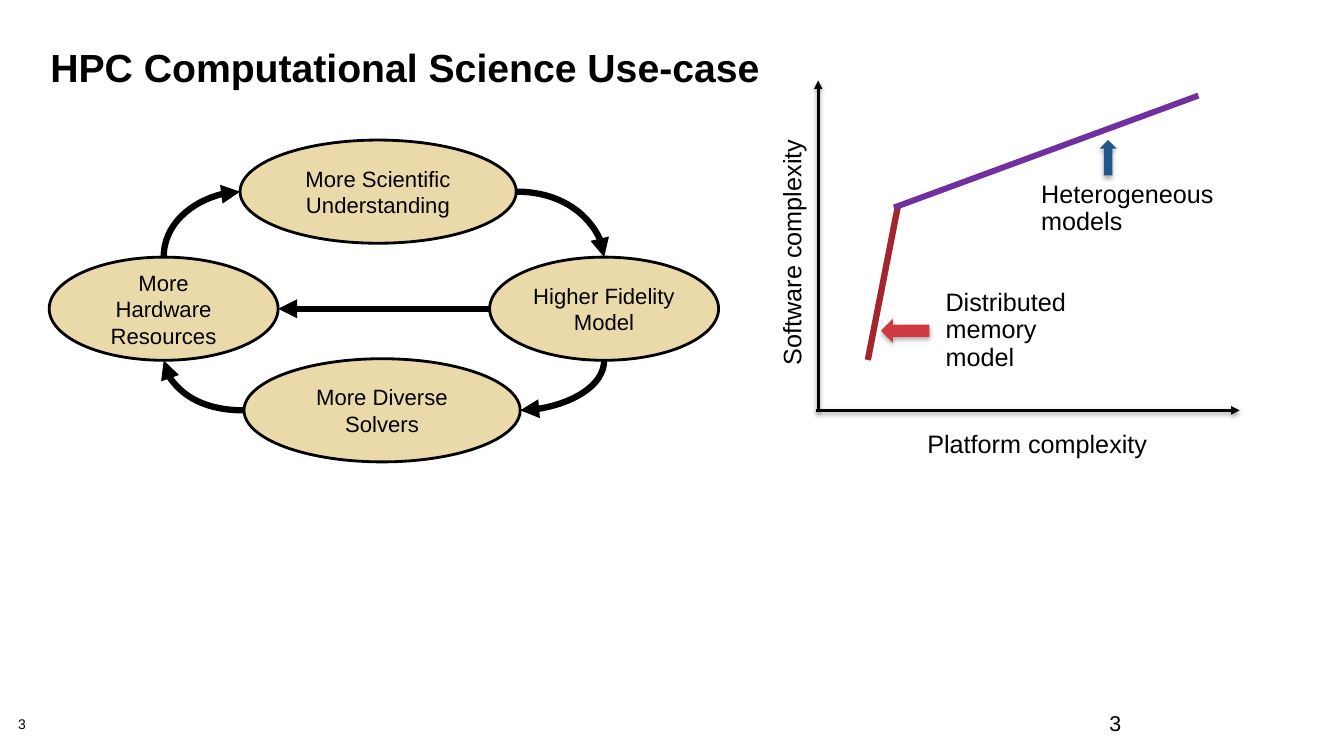
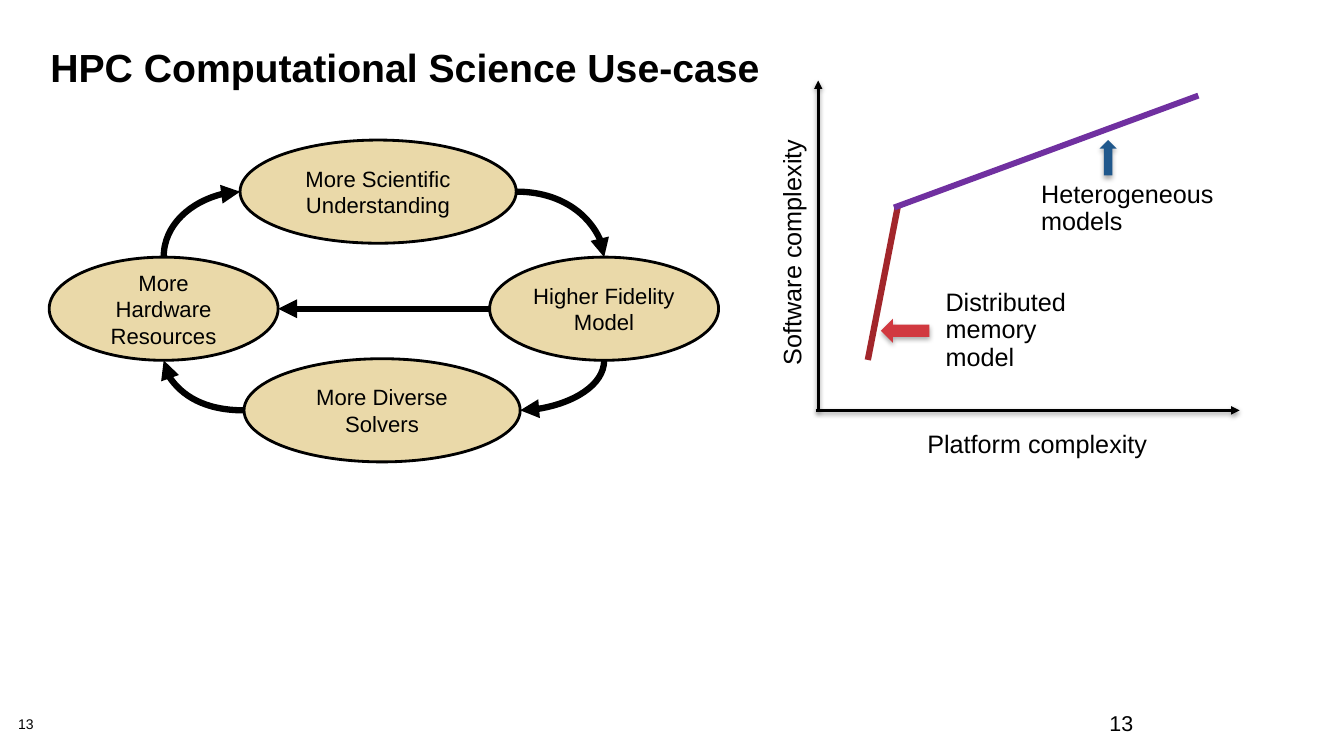
from lxml import etree
from pptx import Presentation
from pptx.dml.color import RGBColor
from pptx.enum import shapes as es, text as et
from pptx.oxml.ns import qn
from pptx.util import Cm, Pt

FONT = "Arial"
HEX = {"ink": "000000", "sand": "EAD9A9", "red": "A2262B", "plum": "7030A0",
       "rose": "D13940", "blue": "20588C"}
TITLE = "HPC Computational Science Use-case"
PAGES = ["3", "13"]
LOOP = (1.24, 3.53)
GRAPH = (20.57, 2.03)

# Loop steps, clockwise from the top: left, top, width, lines
OVAL_H = 2.6
STEPS = [
    (4.81, 0, 6.96, ["More Scientific Understanding"]),
    (11.1, 2.95, 5.77, ["Higher Fidelity", "Model"]),
    (4.91, 5.51, 6.96, ["More Diverse", "Solvers"]),
    (0, 2.95, 5.77, ["More Hardware", "Resources"]),
]
# Graph labels: left, top, width, height, turn, lines
LABELS = [
    (2.47, 8.59, 6.4, 1.19, 0, ["Platform complexity"]),
    (-3.78, 3.69, 6.4, 1.22, 270, ["Software complexity"]),
    (2.93, 5.01, 3.91, 2.59, 0, ["Distributed", "memory", "model"]),
    (5.34, 2.29, 5.05, 1.9, 0, ["Heterogeneous", "models"]),
]
# Ellipse connection sites, as shares of width and height
TOP, LEFT, BOTTOM, RIGHT = 0, 2, 4, 6
SITES = {TOP: (0.5, 0), LEFT: (0, 0.5), BOTTOM: (0.5, 1), RIGHT: (1, 0.5)}


def color(name):
    return RGBColor.from_string(HEX[name])


def write(frame, lines, size, bold=False, align=None, space=None):
    frame.word_wrap = True
    for i, line in enumerate(lines):
        para = frame.paragraphs[0] if i == 0 else frame.add_paragraph()
        para.alignment = align
        para.line_spacing = space
        run = para.add_run()
        run.text = line
        font = run.font
        font.name, font.size, font.bold = FONT, Pt(size), bold
        font.color.rgb = color("ink")


def inset(frame, x, y):
    frame.margin_left = frame.margin_right = Cm(x)
    frame.margin_top = frame.margin_bottom = Cm(y)


def label(slide, box, lines, size, pad=None, **style):
    area = slide.shapes.add_textbox(*map(Cm, box))
    if pad:
        inset(area.text_frame, *pad)
    write(area.text_frame, lines, size, **style)
    return area


def effect(shape, shade=None):
    """Set the effect list: empty, or a shadow of (blur, distance, opacity)."""
    props = shape._element.spPr
    for old in props.findall(qn("a:effectLst")):
        props.remove(old)
    group = etree.SubElement(props, qn("a:effectLst"))
    if shade:
        blur, dist, part = shade
        cast = etree.SubElement(group, qn("a:outerShdw"), blurRad=str(Pt(blur)),
                                dist=str(Pt(dist)), dir="5400000", rotWithShape="0")
        tint = etree.SubElement(cast, qn("a:srgbClr"), val=HEX["ink"])
        etree.SubElement(tint, qn("a:alpha"), val=str(part * 1000))


def link(slide, ends, tint, width, head=False, shade=None,
         kind=es.MSO_CONNECTOR.STRAIGHT):
    line = slide.shapes.add_connector(kind, *ends)
    line.line.color.rgb = color(tint)
    line.line.width = Pt(width)
    if head:
        etree.SubElement(line.line._get_or_add_ln(), qn("a:tailEnd"), type="triangle")
    effect(line, shade)
    return line


def solid(slide, kind, box, tint):
    shape = slide.shapes.add_shape(kind, *map(Cm, box))
    shape.shadow.inherit = False
    shape.fill.solid()
    shape.fill.fore_color.rgb = color(tint)
    shape.line.fill.background()
    return shape


def site(shape, idx):
    x, y = SITES[idx]
    return (shape.left + int(shape.width * x), shape.top + int(shape.height * y))


def glue(line, *ends):
    for tag, (shape, idx) in zip(("a:stCxn", "a:endCxn"), ends):
        etree.SubElement(line._element.nvCxnSpPr.cNvCxnSpPr, qn(tag),
                         id=str(shape.shape_id), idx=str(idx))


def bend(slide, start, end, turn):
    """Quarter curve between two sites, turned clockwise by quarter turns."""
    (ax, ay), (bx, by) = site(*start), site(*end)
    wide, high = abs(bx - ax), abs(by - ay)
    if turn % 2:
        wide, high = high, wide
    left, top = (ax + bx - wide) // 2, (ay + by - high) // 2
    line = link(slide, (left, top, left + wide, top + high), "ink", 4.5, True,
                kind=es.MSO_CONNECTOR.CURVE)
    props = line._element.spPr
    props.find(qn("a:prstGeom")).set("prst", "curvedConnector2")
    props.find(qn("a:xfrm")).set("rot", str(turn * 5400000))
    glue(line, start, end)


def loop(slide, left, top):
    # Steps
    ring = []
    for x, y, wide, lines in STEPS:
        oval = solid(slide, es.MSO_SHAPE.OVAL,
                     (left + x, top + y, wide, OVAL_H), "sand")
        oval.line.color.rgb = color("ink")
        oval.line.width = Pt(2)
        frame = oval.text_frame
        frame.vertical_anchor = et.MSO_ANCHOR.MIDDLE
        inset(frame, 0.2, 0.13)
        write(frame, lines, 15.8, align=et.PP_ALIGN.CENTER)
        ring.append(oval)
    # Curved arrows around the ring
    for i, oval in enumerate(ring):
        bend(slide, (oval, RIGHT - 2 * i), (ring[(i + 1) % 4], -2 * i % 8), i)
    # Straight arrow across
    start, end = (ring[1], LEFT), (ring[3], RIGHT)
    glue(link(slide, site(*start) + site(*end), "ink", 4.5, True), start, end)


def graph(slide, left, top):
    def ends(ax, ay, bx, by):
        return [Cm(v) for v in (left + ax, top + ay, left + bx, top + by)]

    # Axes
    for axis in ((0, 8.31, 10.67, 8.31), (0.05, 8.31, 0.05, 0)):
        link(slide, ends(*axis), "ink", 2, True, (3.1, 1.6, 38))
    # Growth lines
    link(slide, ends(1.3, 7.04, 2.06, 3.15), "red", 4.5)
    link(slide, ends(1.96, 3.2, 9.63, 0.38), "plum", 4.25)
    # Labels
    for x, y, wide, high, turn, lines in LABELS:
        area = label(slide, (left + x, top + y, wide, high), lines, 18,
                     (0.33, 0.25), space=0.9)
        area.text_frame.vertical_anchor = et.MSO_ANCHOR.MIDDLE
        area.rotation = turn
    # Pointers
    for kind, x, y, wide, high, tint in (
            (es.MSO_SHAPE.LEFT_ARROW, 1.63, 6, 1.22, 0.61, "rose"),
            (es.MSO_SHAPE.UP_ARROW, 7.14, 1.5, 0.43, 0.89, "blue")):
        mark = solid(slide, kind, (left + x, top + y, wide, high), tint)
        effect(mark, (3.5, 2.2, 32))


def frame(slide, page):
    # Title and page numbers
    label(slide, (1.02, 1.14, 31.6, 2.54), [TITLE], 28, bold=True, space=0.85)
    label(slide, (0.46, 18.08, 1.42, 0.41), [page], 10, (0, 0), space=0.9)
    label(slide, (27.71, 17.78, 1.27, 0.76), [page], 15.3)


def main():
    deck = Presentation()
    deck.slide_width, deck.slide_height = Cm(33.87), Cm(19.05)
    for page in PAGES:
        slide = deck.slides.add_slide(deck.slide_layouts[6])
        frame(slide, page)
        loop(slide, *LOOP)
        graph(slide, *GRAPH)
    deck.save("out.pptx")


if __name__ == "__main__":
    main()
